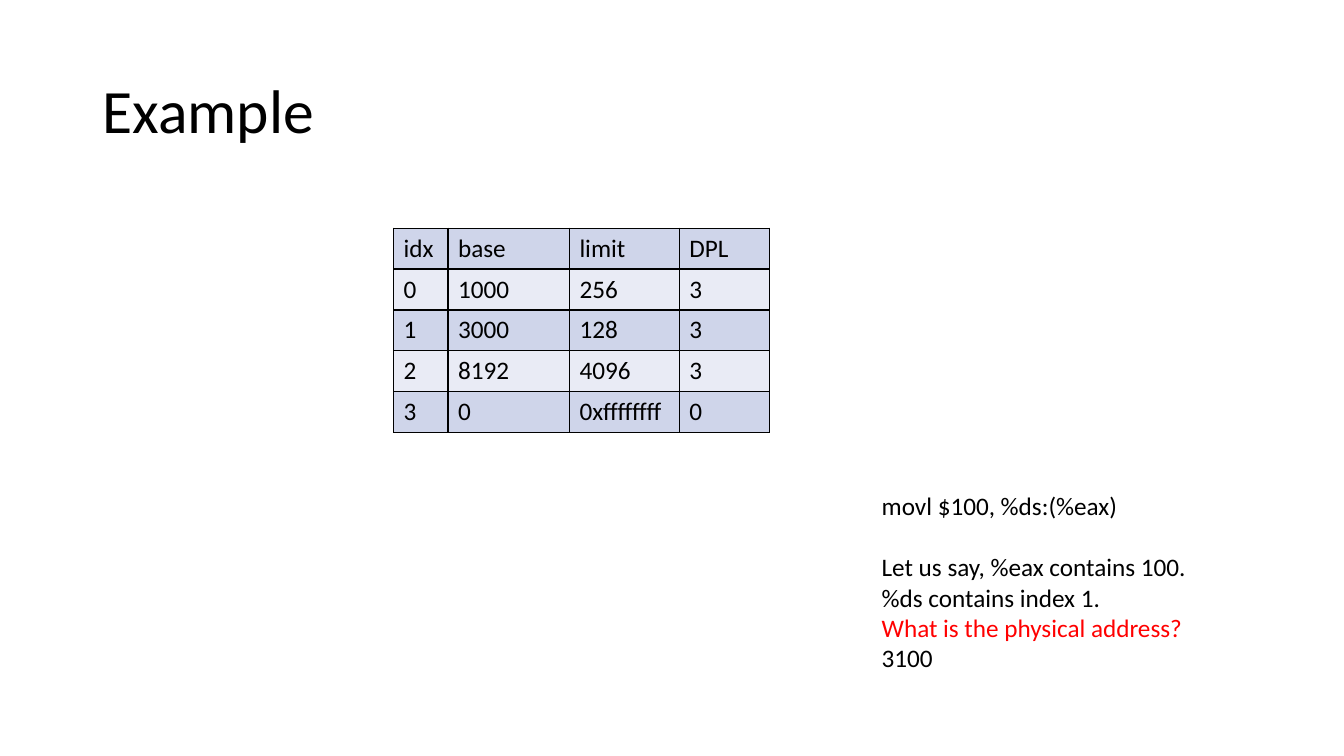
from lxml import etree
from pptx import Presentation, util as u
from pptx.dml.color import RGBColor
from pptx.enum import text
from pptx.oxml.ns import qn

BLACK = RGBColor(0x00, 0x00, 0x00)
RED = RGBColor(0xFF, 0x00, 0x00)
BANDS = [RGBColor(0xCF, 0xD5, 0xEA), RGBColor(0xE9, 0xEB, 0xF5)]
BODY = {"name": "Calibri", "size": u.Pt(18)}


def write(p, words, color=BLACK, **changes):
    r = p.add_run()
    r.text = words
    for key, value in {**BODY, **changes}.items():
        setattr(r.font, key, value)
    r.font.color.rgb = color


def add_borders(cell):
    tcPr = cell._tc.get_or_add_tcPr()
    for i, side in enumerate(("lnL", "lnR", "lnT", "lnB")):
        ln = etree.Element(qn("a:" + side), w=str(u.Pt(1)))
        fill = etree.SubElement(ln, qn("a:solidFill"))
        etree.SubElement(fill, qn("a:srgbClr"), val=str(BLACK))
        tcPr.insert(i, ln)


prs = Presentation()
prs.slide_width, prs.slide_height = u.Cm(33.87), u.Cm(19.05)
s = prs.slides.add_slide(prs.slide_layouts[5])

# Title
title = s.shapes.title
box = {"left": 2.33, "top": 1.01, "width": 29.21, "height": 3.68}
for key, value in box.items():
    setattr(title, key, u.Cm(value))
title.text_frame.vertical_anchor = text.MSO_ANCHOR.MIDDLE
p = title.text_frame.paragraphs[0]
p.alignment, p.line_spacing = text.PP_ALIGN.LEFT, 0.9
write(p, "Example", size=u.Pt(44))

# Segment descriptor table
rows = [
    ("idx", "base", "limit", "DPL"),
    ("0", "1000", "256", "3"),
    ("1", "3000", "128", "3"),
    ("2", "8192", "4096", "3"),
    ("3", "0", "0xffffffff", "0"),
]
widths = [1.37, 3.06, 2.77, 2.27]
row_height = 1.03
table = s.shapes.add_table(
    len(rows), len(widths), u.Cm(9.92), u.Cm(5.75),
    u.Cm(sum(widths)), u.Cm(row_height * len(rows))).table
for column, width in zip(table.columns, widths):
    column.width = u.Cm(width)
for i, values in enumerate(rows):
    table.rows[i].height = u.Cm(row_height)
    for j, value in enumerate(values):
        cell = table.cell(i, j)
        cell.fill.solid()
        cell.fill.fore_color.rgb = BANDS[i % 2]
        add_borders(cell)
        write(cell.text_frame.paragraphs[0], value)

# Instruction and question: words, colour, space before in points
lines = [
    ("movl $100, %ds:(%eax)", BLACK, 0),
    ("Let us say, %eax contains 100.", BLACK, 22),
    ("%ds contains index 1.", BLACK, 0),
    ("What is the physical address?", RED, 0),
    ("3100", BLACK, 0),
]
tf = s.shapes.add_textbox(u.Cm(21.97), u.Cm(12.24), u.Cm(9.96), u.Cm(5.64)).text_frame
tf.word_wrap = True
for i, (words, color, space) in enumerate(lines):
    p = tf.add_paragraph() if i else tf.paragraphs[0]
    if space:
        p.space_before = u.Pt(space)
    write(p, words, color)

prs.save("out.pptx")
